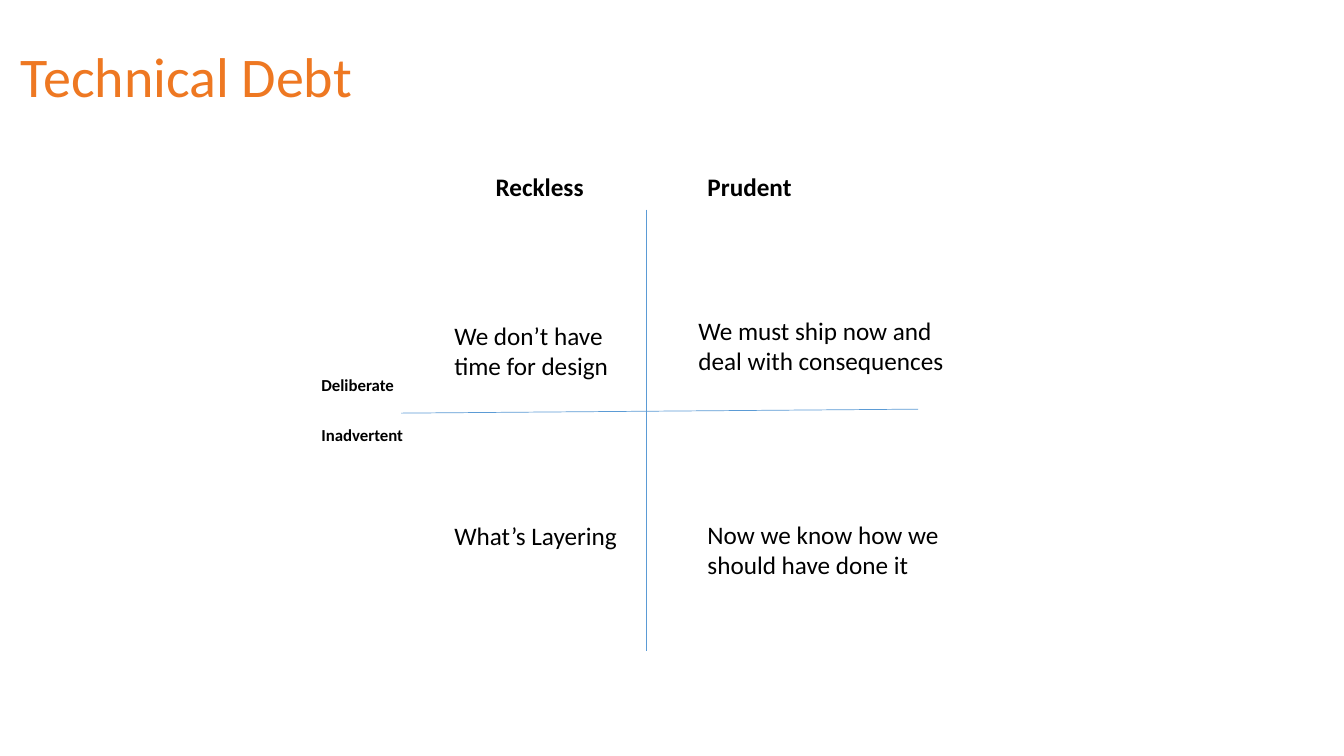
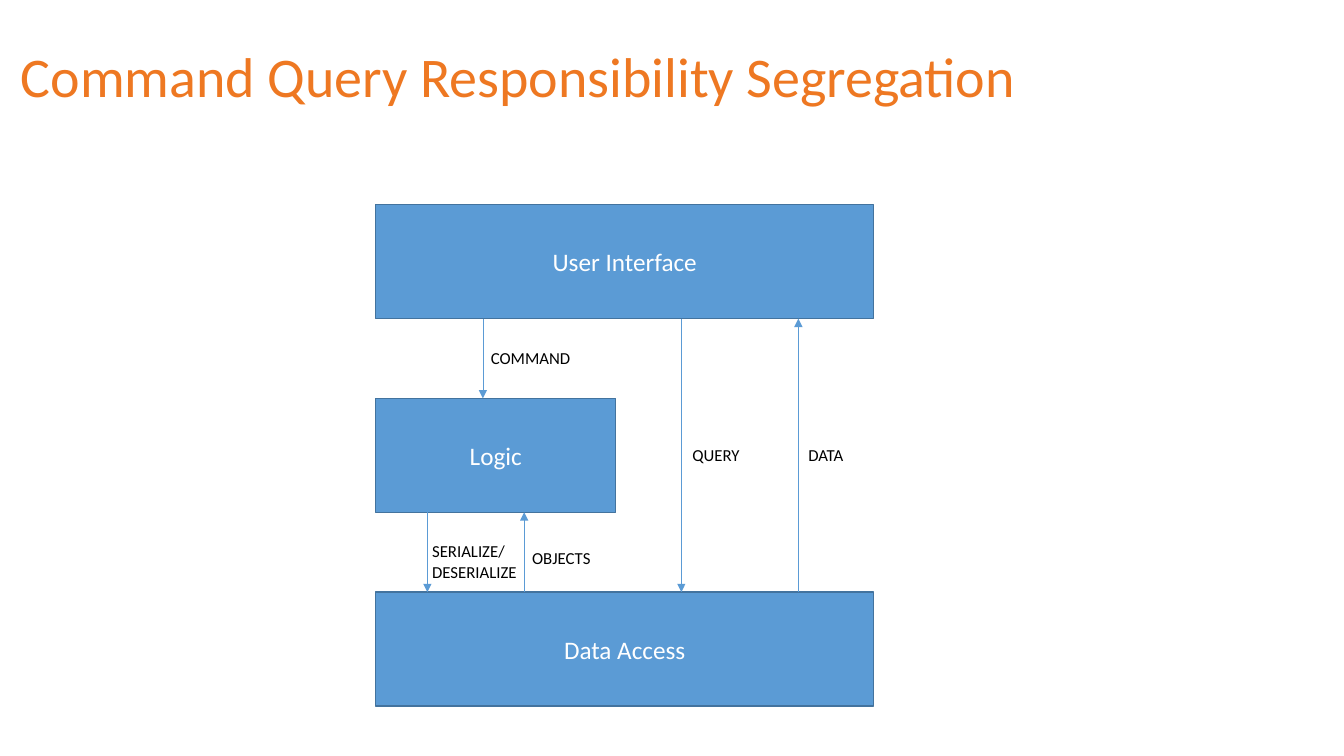
from lxml import etree
from pptx import Presentation, util as u
from pptx.dml.color import RGBColor
from pptx.enum import shapes, text
from pptx.oxml.ns import qn

COLORS = {"title": "EE7822", "ink": "000000", "white": "FFFFFF",
          "box": "5B9BD5", "border": "43739E"}


class Deck:
    """Hold the shared style and the current slide, and draw its elements."""

    def __init__(self):
        self.presentation = Presentation()
        self.presentation.slide_width = u.Cm(33.87)
        self.presentation.slide_height = u.Cm(19.05)
        self.slide = None

    def color(self, name):
        return RGBColor.from_string(COLORS[name])

    def add_slide(self, title):
        layout = self.presentation.slide_layouts[6]
        self.slide = self.presentation.slides.add_slide(layout)
        shape = self.label(title, 0.28, 0.15, 29.21, 3.68, size=40, color="title",
                           anchor=text.MSO_ANCHOR.MIDDLE, grow=False)
        shape.text_frame.paragraphs[0].line_spacing = 0.9

    def set_text(self, shape, words, size, color="ink", bold=False, wrap=True,
                 anchor=text.MSO_ANCHOR.TOP, align=text.PP_ALIGN.LEFT):
        frame = shape.text_frame
        frame.text = words
        frame.word_wrap = wrap
        frame.vertical_anchor = anchor
        formats = {"name": "Calibri", "size": u.Pt(size), "bold": bold}
        for paragraph in frame.paragraphs:
            paragraph.alignment = align
            for run in paragraph.runs:
                for key, value in formats.items():
                    setattr(run.font, key, value)
                run.font.color.rgb = self.color(color)

    def label(self, words, left, top, width, height, size=18, grow=True, **formats):
        shape = self.slide.shapes.add_textbox(*map(u.Cm, (left, top, width, height)))
        self.set_text(shape, words, size, **formats)
        fit = text.MSO_AUTO_SIZE
        shape.text_frame.auto_size = fit.SHAPE_TO_FIT_TEXT if grow else fit.NONE
        return shape

    def box(self, words, left, top, width, height):
        shape = self.slide.shapes.add_shape(
            shapes.MSO_SHAPE.RECTANGLE, *map(u.Cm, (left, top, width, height)))
        shape.shadow.inherit = False
        shape.fill.solid()
        shape.fill.fore_color.rgb = self.color("box")
        shape.line.color.rgb = self.color("border")
        shape.line.width = u.Pt(1)
        self.set_text(shape, words, 18, color="white", anchor=text.MSO_ANCHOR.MIDDLE,
                      align=text.PP_ALIGN.CENTER)

    def line(self, x1, y1, x2, y2, arrow=False):
        connector = self.slide.shapes.add_connector(
            shapes.MSO_CONNECTOR.STRAIGHT, *map(u.Cm, (x1, y1, x2, y2)))
        connector.line.color.rgb = self.color("box")
        connector.line.width = u.Pt(0.5)
        properties = connector.element.spPr
        if arrow:
            etree.SubElement(properties.get_or_add_ln(), qn("a:tailEnd"), type="triangle")
        etree.SubElement(properties, qn("a:effectLst"))


def technical_debt(deck):
    deck.add_slide("Technical Debt")
    deck.line(16.28, 5.28, 16.28, 16.41)
    deck.line(23.14, 10.31, 10.11, 10.41)
    for words, left in (("Reckless", 12.24), ("Prudent", 17.58)):
        deck.label(words, left, 4.19, 3.43, 1.02, bold=True)
    for words, left, top, width, height, wrap in (
            ("We don’t have time for design", 11.2, 7.95, 4.47, 1.8, True),
            ("We must ship now and deal with consequences", 17.35, 7.82, 7.06, 1.8, True),
            ("What’s Layering", 11.2, 12.98, 4.65, 1.02, False),
            ("Now we know how we \nshould have done it", 17.58, 12.95, 6.55, 1.8, False)):
        deck.label(words, left, top, width, height, wrap=wrap)
    for words, top, width in (("Deliberate", 9.32, 2.36), ("Inadvertent", 10.59, 2.59)):
        deck.label(words, 7.85, top, width, 0.76, size=12, bold=True, wrap=False)


def command_query(deck):
    deck.add_slide("Command Query Responsibility Segregation")
    left, height, wide, narrow = 9.47, 2.87, 12.55, 6.05
    interface, logic, data = (5.16 + 4.88 * row for row in range(3))
    for words, top, width in (("User Interface", interface, wide),
                              ("Data Access", data, wide), ("Logic", logic, narrow)):
        deck.box(words, left, top, width, height)
    for x, start, end in ((17.17, interface + height, data),
                          (20.12, data, interface + height),
                          (12.17, interface + height, logic),
                          (10.77, logic + height, data),
                          (13.21, data, logic + height)):
        deck.line(x, start, x, end, arrow=True)
    for words, x, top, width, tall in (
            ("COMMAND", 12.12, 8.64, 2.54, 0.76),
            ("SERIALIZE/\nDESERIALIZE", 10.64, 13.51, 2.67, 1.27),
            ("OBJECTS", 13.16, 13.69, 2.01, 0.76),
            ("QUERY", 17.2, 11.07, 1.73, 0.76),
            ("DATA", 20.12, 11.07, 1.42, 0.76)):
        deck.label(words, x, top, width, tall, size=12, wrap=False)


deck = Deck()
technical_debt(deck)
command_query(deck)
deck.presentation.save("out.pptx")
